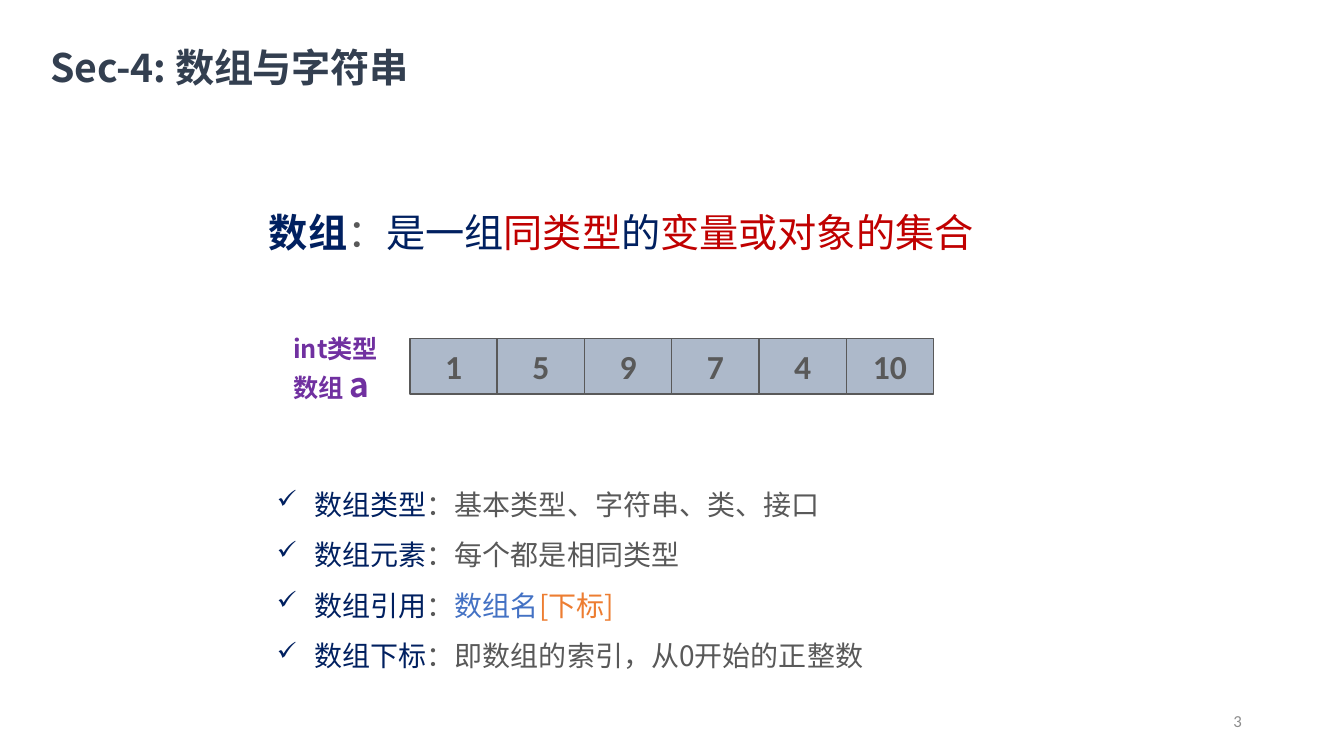
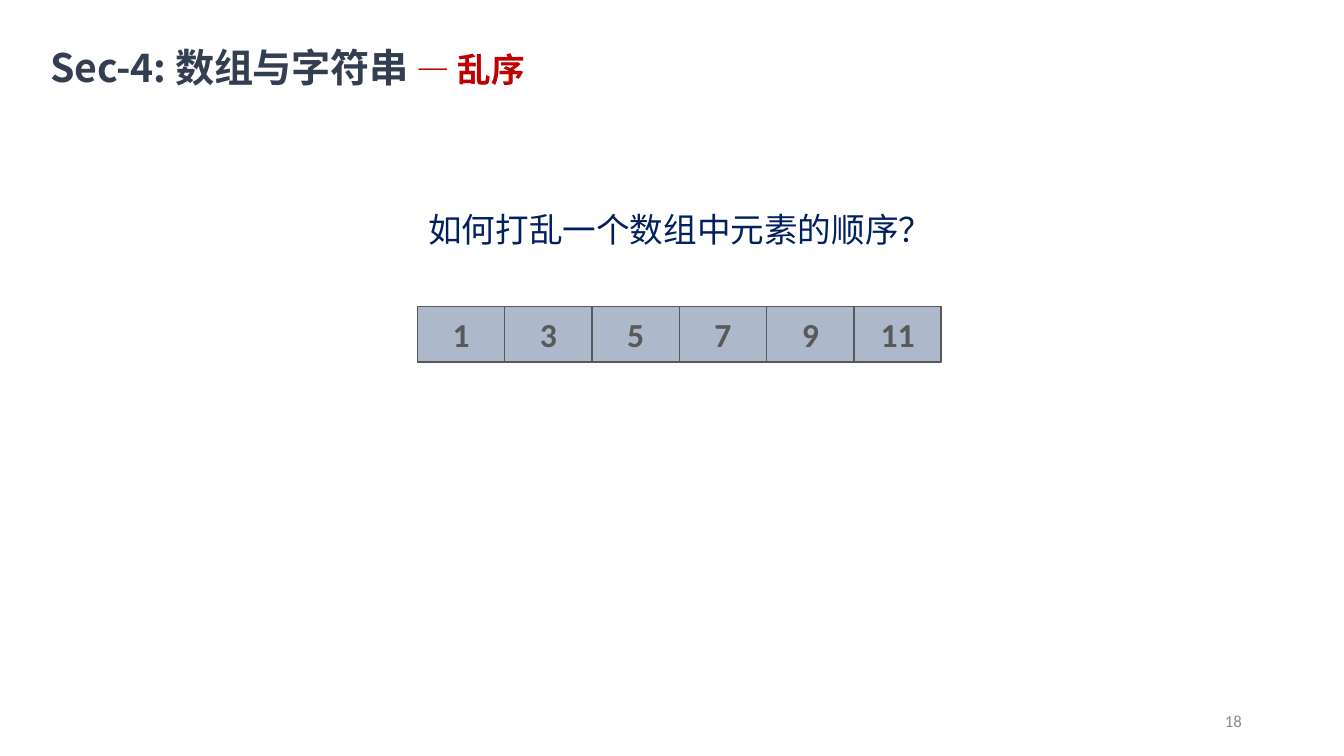
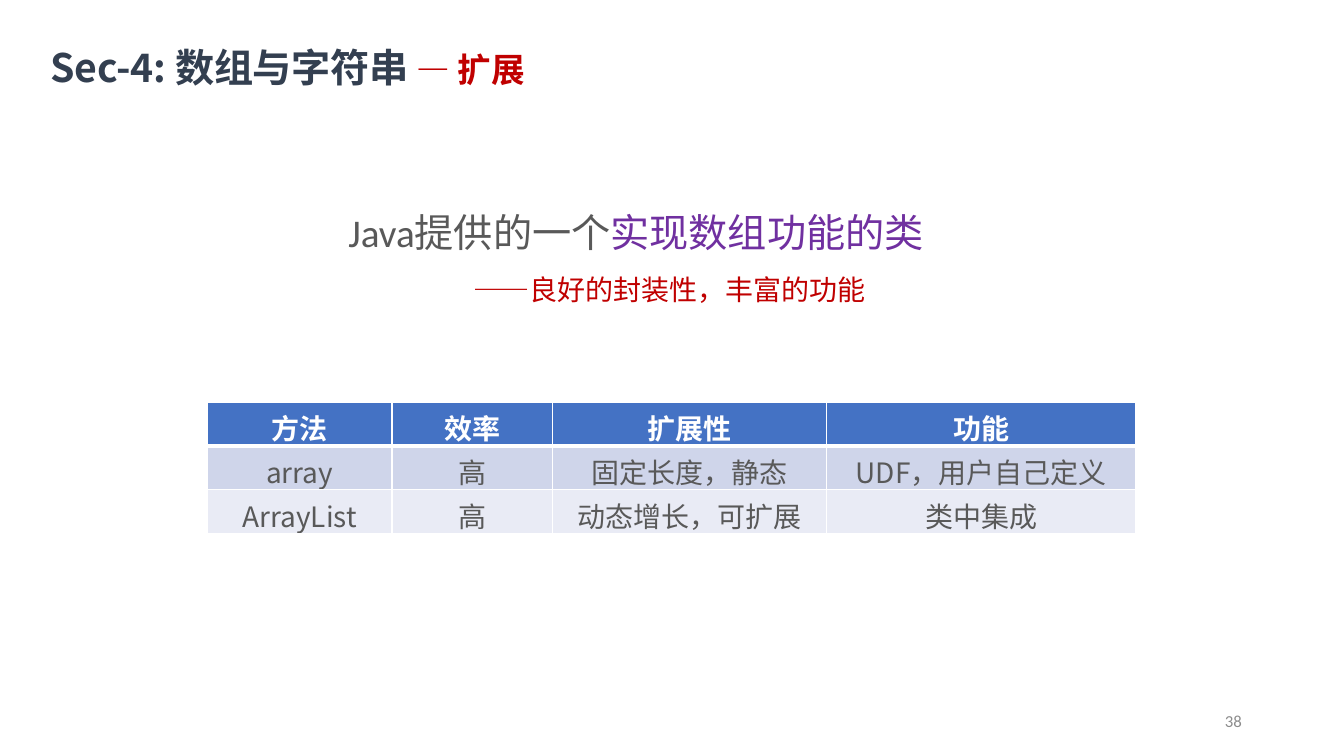
from dataclasses import dataclass

from lxml.etree import SubElement
from pptx import Presentation
from pptx.dml.color import RGBColor
from pptx.enum.shapes import MSO_SHAPE
from pptx.enum.text import MSO_ANCHOR, MSO_AUTO_SIZE, PP_ALIGN
from pptx.oxml.ns import qn
from pptx.util import Cm, Pt


@dataclass(frozen=True)
class Theme:
    # Fonts
    cjk: str = "Noto Sans CJK SC"
    latin: str = "Calibri"
    # Colours
    white: str = "FFFFFF"
    title: str = "333F50"
    navy: str = "002060"
    grey: str = "595959"
    red: str = "C00000"
    purple: str = "7030A0"
    blue: str = "4472C4"
    orange: str = "ED7D31"
    cell: str = "ADB9CA"
    number: str = "8C8C8C"
    bands: tuple = ("CFD5EA", "E9EBF5")
    # Type sizes
    heading: int = 28
    large: int = 24
    body: int = 20
    label: int = 18
    small: int = 12


THEME = Theme()


def add_span(para, text, size, color, bold=False, font=THEME.cjk):
    span = para.add_run()
    span.text = text
    span.font.size = Pt(size)
    span.font.bold = bold
    span.font.name = font
    span.font.color.rgb = RGBColor.from_string(color)
    SubElement(span.font._element, qn("a:ea"), typeface=THEME.cjk)
    return span


def add_text(page, left, top, width, height, align=PP_ALIGN.LEFT):
    """Add a wrapping text box and return its frame."""
    box = page.shapes.add_textbox(Cm(left), Cm(top), Cm(width), Cm(height))
    frame = box.text_frame
    frame.word_wrap = True
    frame.auto_size = MSO_AUTO_SIZE.SHAPE_TO_FIT_TEXT
    frame.paragraphs[0].alignment = align
    return frame


def add_page(deck, number, topic=None):
    """Add a page with the shared title and page number."""
    page = deck.slides.add_slide(deck.slide_layouts[5])
    title = page.shapes.title
    title.left, title.top, title.width, title.height = Cm(1.27), Cm(1.07), Cm(16.46), Cm(1.22)
    frame = title.text_frame
    frame.margin_left = frame.margin_right = frame.margin_bottom = 0
    frame.margin_top = Cm(0.03)
    frame.vertical_anchor = MSO_ANCHOR.TOP
    frame.word_wrap = True
    frame.auto_size = MSO_AUTO_SIZE.SHAPE_TO_FIT_TEXT
    para = frame.paragraphs[0]
    para.alignment = PP_ALIGN.LEFT
    span = add_span(para, "Sec-4: 数组与字符串", THEME.heading, THEME.title, True)
    span.font._element.set("spc", "-10")
    if topic:
        add_span(para, " ", THEME.large, THEME.title, True)
        add_span(para, f"— {topic}", THEME.large, THEME.red, True)

    footer = add_text(page, 23.93, 17.65, 7.62, 1.02, PP_ALIGN.RIGHT)
    footer.auto_size = MSO_AUTO_SIZE.NONE
    footer.vertical_anchor = MSO_ANCHOR.MIDDLE
    add_span(footer.paragraphs[0], str(number), THEME.small, THEME.number, font=THEME.latin)
    return page


def add_array(page, left, top, values):
    """Draw an array as a row of touching cells."""
    width, height = 2.2, 1.4
    for index, value in enumerate(values):
        cell = page.shapes.add_shape(MSO_SHAPE.RECTANGLE, Cm(left + index * width),
                                     Cm(top), Cm(width), Cm(height))
        cell.shadow.inherit = False
        cell.fill.solid()
        cell.fill.fore_color.rgb = RGBColor.from_string(THEME.cell)
        cell.line.color.rgb = RGBColor.from_string(THEME.grey)
        cell.line.width = Pt(1)
        frame = cell.text_frame
        frame.vertical_anchor = MSO_ANCHOR.MIDDLE
        para = frame.paragraphs[0]
        para.alignment = PP_ALIGN.CENTER
        add_span(para, str(value), THEME.large, THEME.grey, True, THEME.latin)


def add_checks(frame, items):
    """Fill a frame with check-marked lines of (text, colour) spans."""
    for index, spans in enumerate(items):
        para = frame.add_paragraph() if index else frame.paragraphs[0]
        para.line_spacing = 1.5
        props = para._p.get_or_add_pPr()
        props.set("marL", str(Cm(0.95)))
        props.set("indent", str(-Cm(0.95)))
        SubElement(props, qn("a:buSzPct"), val="90000")
        SubElement(props, qn("a:buChar"), char="✓")
        for text, color in spans:
            add_span(para, text, THEME.body, color)


def set_borders(cell, bottom):
    props = cell._tc.get_or_add_tcPr()
    for index, (side, width) in enumerate((("L", 1), ("R", 1), ("T", 1), ("B", bottom))):
        line = props.makeelement(qn(f"a:ln{side}"), {"w": str(Pt(width))})
        fill = SubElement(line, qn("a:solidFill"))
        SubElement(fill, qn("a:srgbClr"), val=THEME.white)
        props.insert(index, line)


def add_grid(page, left, top, widths, row_height, rows):
    """Add a table with a header row and banded body rows."""
    table = page.shapes.add_table(len(rows), len(widths), Cm(left), Cm(top),
                                  Cm(sum(widths)), Cm(row_height * len(rows))).table
    for column, width in zip(table.columns, widths):
        column.width = Cm(width)
    for r, texts in enumerate(rows):
        header = r == 0
        fill = THEME.blue if header else THEME.bands[(r - 1) % 2]
        for c, text in enumerate(texts):
            cell = table.cell(r, c)
            cell.fill.solid()
            cell.fill.fore_color.rgb = RGBColor.from_string(fill)
            set_borders(cell, 3 if header else 1)
            para = cell.text_frame.paragraphs[0]
            para.alignment = PP_ALIGN.CENTER
            add_span(para, text, THEME.body, THEME.white if header else THEME.grey, header)


def build_definition(deck):
    page = add_page(deck, 3)
    heading = add_text(page, 6.53, 5.13, 21.21, 1.45).paragraphs[0]
    add_span(heading, "数组", THEME.heading, THEME.navy, True)
    for text, color in (("：", THEME.grey), ("是一组", THEME.navy), ("同类型", THEME.red),
                        ("的", THEME.navy), ("变量或对象的集合", THEME.red)):
        add_span(heading, text, THEME.heading, color)

    add_array(page, 10.33, 8.53, (1, 5, 9, 7, 4, 10))
    label = add_text(page, 7.14, 8.28, 2.79, 2.06)
    add_span(label.paragraphs[0], "int类型", THEME.label, THEME.purple, True)
    name = label.add_paragraph()
    add_span(name, "数组 ", THEME.label, THEME.purple, True)
    add_span(name, "a", THEME.large, THEME.purple, True)

    add_checks(add_text(page, 6.73, 11.73, 21.21, 5.38), (
        (("数组类型", THEME.navy), ("：基本类型、字符串、类、接口", THEME.grey)),
        (("数组元素", THEME.navy), ("：每个都是相同类型", THEME.grey)),
        (("数组引用", THEME.navy), ("：", THEME.grey),
         ("数组名", THEME.blue), ("[下标]", THEME.orange)),
        (("数组下标", THEME.navy), ("：即数组的索引，从0开始的正整数", THEME.grey)),
    ))


def build_shuffle(deck):
    page = add_page(deck, 18, "乱序")
    question = add_text(page, 8.94, 5.13, 16.41, 1.27, PP_ALIGN.CENTER)
    add_span(question.paragraphs[0], "如何打乱一个数组中元素的顺序？", THEME.large, THEME.navy)
    add_array(page, 10.52, 7.72, (1, 3, 5, 7, 9, 11))


def build_extension(deck):
    page = add_page(deck, 38, "扩展")
    intro = add_text(page, 8.53, 5.13, 18.59, 2.59)
    para = intro.paragraphs[0]
    add_span(para, "Java提供的一个", THEME.heading, THEME.grey, font=THEME.latin)
    add_span(para, "实现数组功能的类", THEME.heading, THEME.purple, font=THEME.latin)
    benefit = intro.add_paragraph()
    benefit.line_spacing = 1.5
    benefit._p.get_or_add_pPr().set("marL", str(Cm(3.15)))
    add_span(benefit, "——良好的封装性，丰富的功能", THEME.body, THEME.red, font=THEME.latin)

    add_grid(page, 5.23, 10.13, (4.65, 4.04, 6.91, 7.8), 1.1, (
        ("方法", "效率", "扩展性", "功能"),
        ("array", "高", "固定长度，静态", "UDF，用户自己定义"),
        ("ArrayList", "高", "动态增长，可扩展", "类中集成"),
    ))


def main():
    deck = Presentation()
    deck.slide_width, deck.slide_height = Cm(33.87), Cm(19.05)
    build_definition(deck)
    build_shuffle(deck)
    build_extension(deck)
    deck.save("out.pptx")


if __name__ == "__main__":
    main()
